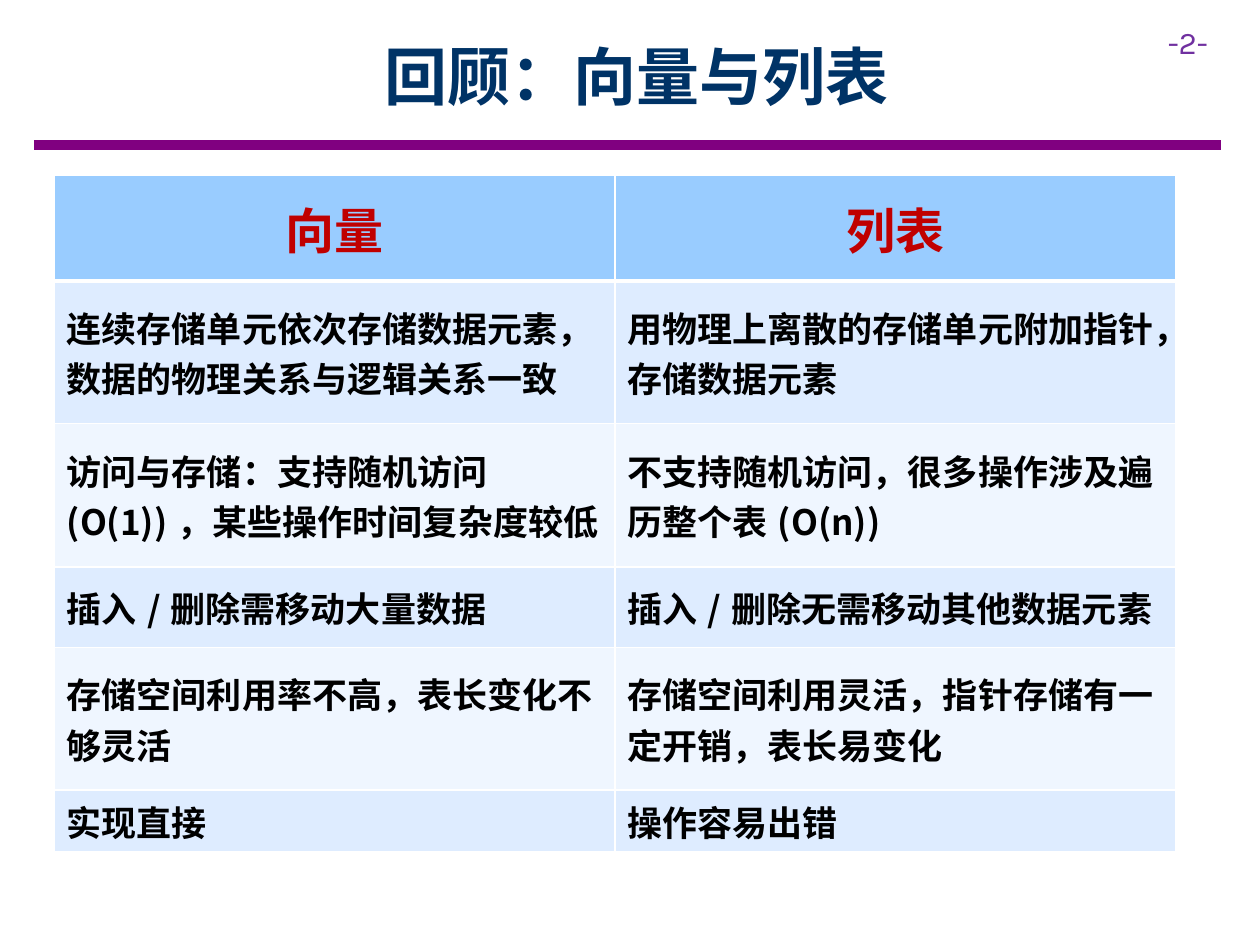
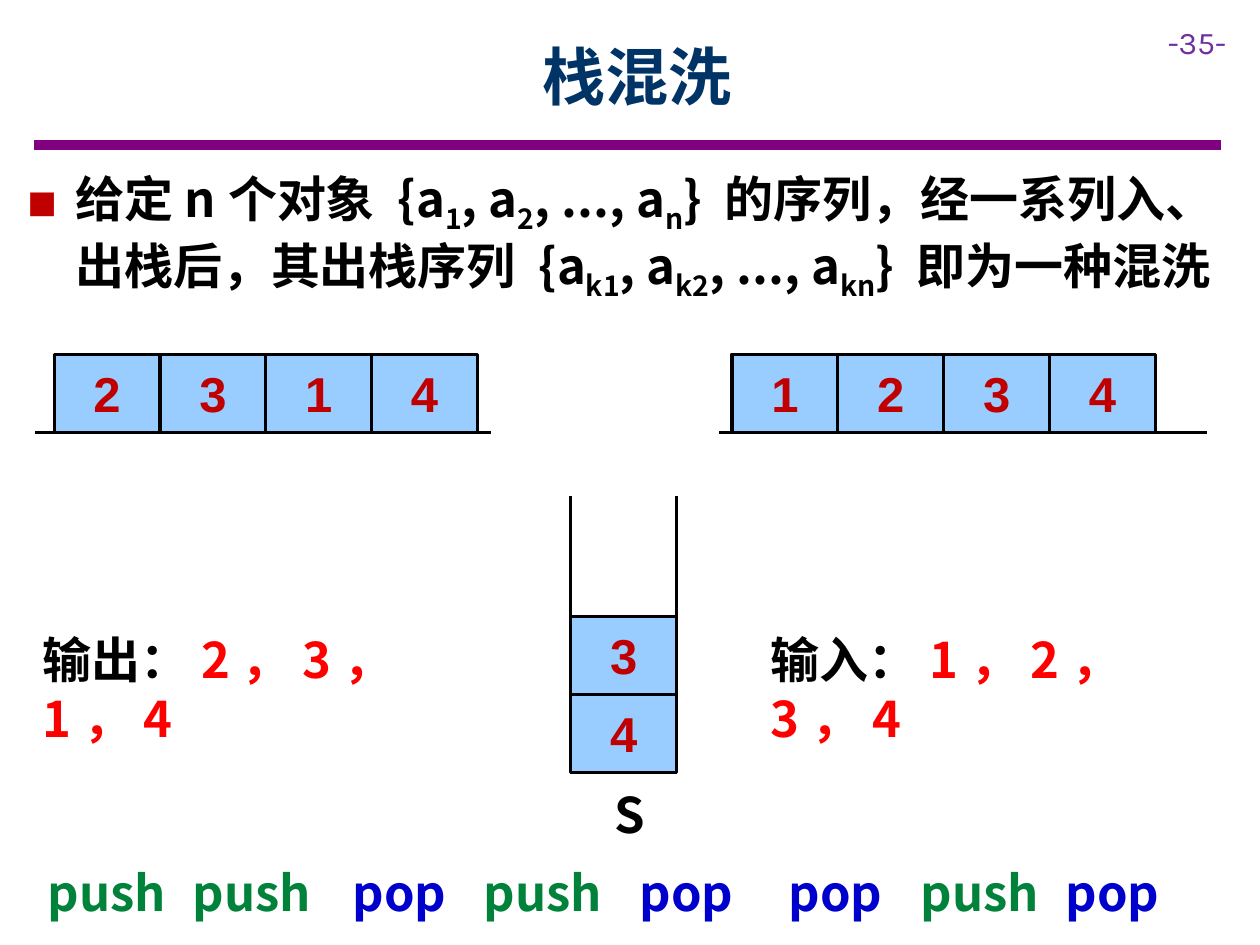
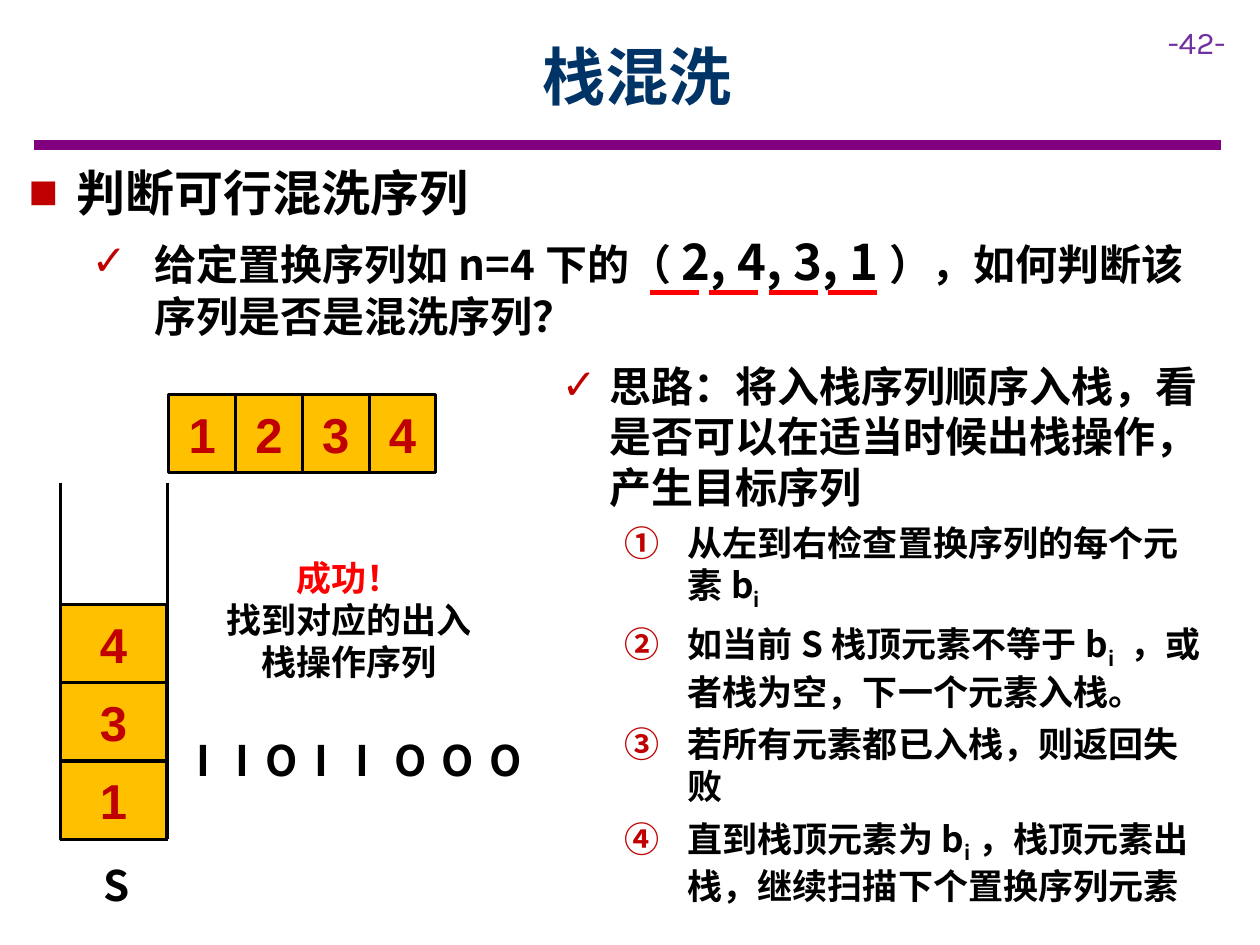
from dataclasses import dataclass
from lxml.etree import SubElement
from pptx import Presentation
from pptx.dml.color import RGBColor
from pptx.enum.shapes import MSO_CONNECTOR, MSO_SHAPE
from pptx.enum.text import MSO_ANCHOR, MSO_AUTO_SIZE, PP_ALIGN
from pptx.oxml.ns import qn
from pptx.util import Inches, Pt


@dataclass(frozen=True)
class Theme:
    cjk: str = "Noto Sans CJK SC"
    digit: str = "Arial"
    number: str = "Karla"
    title: str = "003366"
    band: str = "800080"
    page: str = "7030A0"
    ink: str = "000000"
    accent: str = "C00000"
    alert: str = "FF0000"
    push: str = "00823B"
    pop: str = "0000CC"
    white: str = "FFFFFF"
    blue: str = "99CCFF"
    amber: str = "FFC000"
    stripes: tuple = ("EFF6FF", "DEECFF")
    title_size: int = 36
    large: int = 28
    medium: int = 24
    small: int = 20
    page_size: int = 18
    thin: float = 1.75


theme = Theme()


def write(frame, text, size=theme.large, color=theme.ink, font=theme.cjk, bold=True,
          align=None, after=0, bullet=None, margin=0, hanging=0, joined=False):
    paragraph = frame.paragraphs[-1]
    if not joined:
        if paragraph.runs:
            paragraph = frame.add_paragraph()
        paragraph.alignment = align
        paragraph.space_after = Pt(after)
        if bullet:
            properties = paragraph._p.get_or_add_pPr()
            properties.set("marL", str(Inches(margin)))
            properties.set("indent", str(-Inches(hanging)))
            tint = SubElement(properties, qn("a:buClr"))
            SubElement(tint, qn("a:srgbClr"), val=theme.accent)
            SubElement(properties, qn("a:buFont"), typeface=theme.digit)
            if len(bullet) == 1:
                SubElement(properties, qn("a:buChar"), char=bullet)
            else:
                SubElement(properties, qn("a:buAutoNum"), type=bullet)
    for index, part in enumerate(text.split("~")):
        run = paragraph.add_run()
        run.text = part
        run.font.size = Pt(size)
        run.font.bold = bold
        run.font.name = font
        run.font.color.rgb = RGBColor.from_string(color)
        SubElement(run._r.rPr, qn("a:ea"), typeface=font)
        if index % 2:
            run._r.rPr.set("baseline", "-25000")


def draw_line(slide, x1, y1, x2, y2, color=theme.ink, width=theme.thin):
    line = slide.shapes.add_connector(
        MSO_CONNECTOR.STRAIGHT, Inches(x1), Inches(y1), Inches(x2), Inches(y2))
    line.line.color.rgb = RGBColor.from_string(color)
    line.line.width = Pt(width)
    SubElement(line._element.spPr, qn("a:effectLst"))


deck = Presentation()
deck.slide_width = Inches(10)
deck.slide_height = Inches(7.5)

slides = []
for heading, page in (("回顾：向量与列表", "-2-"), ("栈混洗", "-35-"), ("栈混洗", "-42-")):
    slide = deck.slides.add_slide(deck.slide_layouts[5])
    draw_line(slide, 0.27, 1.15, 9.69, 1.15, color=theme.band, width=6)
    page_number = slide.shapes.add_textbox(Inches(9.17), Inches(0.13), Inches(0.83), Inches(0.4))
    page_number.text_frame.word_wrap = True
    write(page_number.text_frame, page, size=theme.page_size, color=theme.page,
          font=theme.number, bold=False)
    title = slide.shapes.title
    title.left, title.top = Inches(0.9), Inches(0.1)
    title.width, title.height = Inches(8.31), Inches(1)
    title.text_frame.auto_size = MSO_AUTO_SIZE.NONE
    title.text_frame.vertical_anchor = MSO_ANCHOR.MIDDLE
    write(title.text_frame, heading, size=theme.title_size, color=theme.title,
          align=PP_ALIGN.CENTER)
    slides.append(slide)
review, shuffle, check = slides

comparison = (
    ("向量", "列表", 0.84),
    ("连续存储单元依次存储数据元素，数据的物理关系与逻辑关系一致",
     "用物理上离散的存储单元附加指针，存储数据元素", 1.13),
    ("访问与存储：支持随机访问(O(1))，某些操作时间复杂度较低",
     "不支持随机访问，很多操作涉及遍历整个表(O(n))", 1.14),
    ("插入/删除需移动大量数据", "插入/删除无需移动其他数据元素", 0.64),
    ("存储空间利用率不高，表长变化不够灵活",
     "存储空间利用灵活，指针存储有一定开销，表长易变化", 1.13),
    ("实现直接", "操作容易出错", 0.49),
)
table = review.shapes.add_table(
    len(comparison), 2, Inches(0.43), Inches(1.39), Inches(8.9), Inches(5.37)).table
for row, (vector, linked, height) in enumerate(comparison):
    table.rows[row].height = Inches(height)
    for column, text in enumerate((vector, linked)):
        cell = table.cell(row, column)
        cell.vertical_anchor = MSO_ANCHOR.MIDDLE
        for side in ("lnL", "lnR", "lnT", "lnB"):
            thick = (row, side) in ((0, "lnB"), (1, "lnT"))
            border = SubElement(cell._tc.get_or_add_tcPr(), qn(f"a:{side}"),
                                w=str(Pt(3 if thick else 1)))
            SubElement(SubElement(border, qn("a:solidFill")), qn("a:srgbClr"), val=theme.white)
        cell.fill.solid()
        cell.fill.fore_color.rgb = RGBColor.from_string(
            theme.stripes[row % 2] if row else theme.blue)
        if row:
            write(cell.text_frame, text, size=theme.small)
        else:
            write(cell.text_frame, text, color=theme.accent, align=PP_ALIGN.CENTER)

for slide, left, right, top, bottom in (
        (shuffle, 4.53, 5.37, 3.94, 6.13), (check, 0.48, 1.33, 3.83, 6.66)):
    draw_line(slide, left, top, left, bottom)
    draw_line(slide, right, top, right, bottom)
    draw_line(slide, left, bottom, right, bottom)
draw_line(shuffle, 5.71, 3.43, 9.58, 3.43)
draw_line(shuffle, 0.28, 3.43, 3.9, 3.43)
draw_line(check, 1.38, 3.75, 3.43, 3.75)

element_height = 0.62
for slide, digits, left, top, width, step_x, step_y, fill in (
        (shuffle, "2314", 0.43, 2.81, 0.84, 0.84, 0, theme.blue),
        (shuffle, "1234", 5.81, 2.81, 0.84, 0.84, 0, theme.blue),
        (shuffle, "34", 4.53, 4.89, 0.84, 0, element_height, theme.blue),
        (check, "1234", 1.34, 3.13, 0.53, 0.53, 0, theme.amber),
        (check, "431", 0.48, 4.8, 0.84, 0, element_height, theme.amber)):
    for index, digit in enumerate(digits):
        element = slide.shapes.add_shape(
            MSO_SHAPE.RECTANGLE, Inches(left + index * step_x), Inches(top + index * step_y),
            Inches(width), Inches(element_height))
        element.shadow.inherit = False
        element.fill.solid()
        element.fill.fore_color.rgb = RGBColor.from_string(fill)
        element.line.color.rgb = RGBColor.from_string(theme.ink)
        element.line.width = Pt(theme.thin)
        frame = element.text_frame
        frame.margin_left = frame.margin_right = Inches(0.1)
        frame.margin_top = frame.margin_bottom = Inches(0.1)
        frame.vertical_anchor = MSO_ANCHOR.MIDDLE
        write(frame, digit, color=theme.accent, font=theme.digit, align=PP_ALIGN.CENTER)

body = dict(after=6)
square = dict(body, bullet="■", margin=0.38, hanging=0.38)
tick = dict(body, bullet="✓", size=theme.medium)
step = dict(body, bullet="circleNumDbPlain", margin=1, hanging=0.5, size=theme.small)
joined = dict(joined=True)
red = dict(joined, color=theme.alert)
result = dict(align=PP_ALIGN.CENTER, size=theme.small)
letter = dict(body, size=theme.medium)

passages = [
    (shuffle, 0.12, 1.29, 9.6, 1.04, [
        ("给定n个对象 {a~1~, a~2~, ..., a~n~} 的序列，经一系列入、出栈后，"
         "其出栈序列 {a~k1~, a~k2~, ..., a~kn~} 即为一种混洗", square)]),
    (shuffle, 4.78, 6.18, 0.55, 0.57, [("S", body)]),
    (shuffle, 0.24, 4.95, 3.69, 0.57, [("输出：", body), ("2，3，1，4", red)]),
    (shuffle, 6.02, 4.95, 3.69, 0.57, [("输入：", body), ("1，2，3，4", red)]),
    (check, 0.13, 1.24, 9.67, 1.53, [
        ("判断可行混洗序列", square),
        ("给定置换序列如n=4下的（", dict(tick, margin=1, hanging=0.5)),
        ("2, 4, 3, 1", joined),
        ("），如何判断该序列是否是混洗序列？", dict(joined, size=theme.medium))]),
    (check, 4.36, 2.81, 5.36, 4.34, [
        ("思路：将入栈序列顺序入栈，看是否可以在适当时候出栈操作，产生目标序列",
         dict(tick, margin=0.38, hanging=0.38)),
        ("从左到右检查置换序列的每个元素b~i", step),
        ("如当前S栈顶元素不等于b~i~ ，或者栈为空，下一个元素入栈。", step),
        ("若所有元素都已入栈，则返回失败", step),
        ("直到栈顶元素为b~i~，栈顶元素出栈，继续扫描下个置换序列元素", step)]),
    (check, 0.72, 6.77, 0.88, 0.5, [("S", letter)]),
    (check, 1.65, 4.37, 2.24, 1.11, [
        ("成功！", dict(result, color=theme.alert)), ("找到对应的出入栈操作序列", result)]),
]
for operation, left in zip(
        ("push", "push", "pop", "push", "pop", "pop", "push", "pop"),
        (0.28, 1.43, 2.7, 3.74, 4.98, 6.16, 7.21, 8.36)):
    color = theme.push if operation == "push" else theme.pop
    passages.append((shuffle, left, 6.8, 1.2, 0.57, [(operation, dict(body, color=color))]))
for move, left in zip("IIOIIOOO", (1.46, 1.77, 2.01, 2.4, 2.72, 3.03, 3.41, 3.79)):
    passages.append((check, left, 5.78, 0.46, 0.5, [(move, letter)]))

for slide, left, top, width, height, runs in passages:
    frame = slide.shapes.add_textbox(
        Inches(left), Inches(top), Inches(width), Inches(height)).text_frame
    frame.word_wrap = True
    frame.auto_size = MSO_AUTO_SIZE.SHAPE_TO_FIT_TEXT
    for text, style in runs:
        write(frame, text, **style)

for index in range(4):
    left = 5.16 + index * 0.47
    draw_line(check, left, 2.32, left + 0.39, 2.32, color=theme.alert, width=3)

deck.save("out.pptx")
